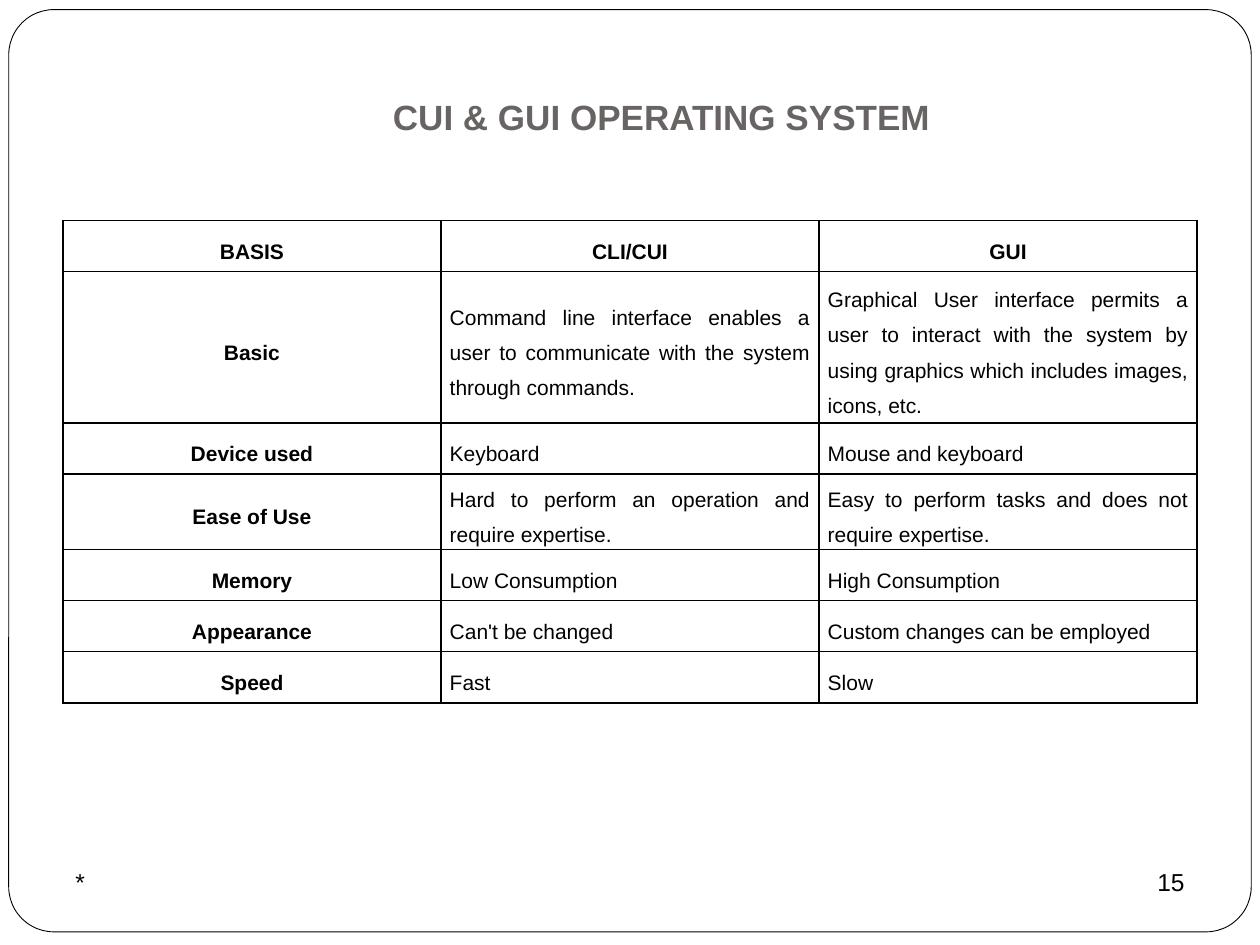
from lxml import etree
from pptx import Presentation
from pptx import util as u
from pptx.dml.color import RGBColor
from pptx.enum import shapes, text
from pptx.oxml import ns

COLORS = {"ink": "000000", "paper": "FFFFFF", "title": "696464"}
ROWS = [
    ("BASIS", "CLI/CUI", "GUI"),
    ("Basic",
     "Command line interface enables a user to communicate with the system through commands.",
     "Graphical User interface permits a user to interact with the system by using graphics "
     "which includes images, icons, etc."),
    ("Device used", "Keyboard", "Mouse and keyboard"),
    ("Ease of Use", "Hard to perform an operation and require expertise.",
     "Easy to perform tasks and does not require expertise."),
    ("Memory", "Low Consumption", "High Consumption"),
    ("Appearance", "Can't be changed", "Custom changes can be employed"),
    ("Speed", "Fast", "Slow"),
]
ROW_HEIGHT = 29.2
TALL_ROWS = {1: 86.4, 3: 43.2}


def color(name):
    """Return the named palette colour."""
    return RGBColor.from_string(COLORS[name])


def write(frame, words, size=12, bold=False, ink="ink", align="LEFT", spacing=None):
    """Put one formatted paragraph in a text frame."""
    para = frame.paragraphs[0]
    para.alignment = getattr(text.PP_ALIGN, align)
    para.line_spacing = spacing
    span = para.add_run()
    span.text = words
    span.font.name = "Arial"
    span.font.size = u.Pt(size)
    span.font.bold = bold
    span.font.color.rgb = color(ink)


class Page:
    """Hold the style and the current slide."""

    def __init__(self, deck):
        """Add a title-only slide with a plain background."""
        self.slide = deck.slides.add_slide(deck.slide_layouts[5])
        self.shapes = self.slide.shapes
        self.slide.background.fill.solid()
        self.slide.background.fill.fore_color.rgb = color("paper")

    def border(self, left, top, width, height):
        """Draw the rounded page border behind everything else."""
        box = self.shapes.add_shape(shapes.MSO_SHAPE.ROUNDED_RECTANGLE,
                                    *map(u.Pt, (left, top, width, height)))
        box.adjustments[0] = 0.049
        box.shadow.inherit = False
        box.fill.solid()
        box.fill.fore_color.rgb = color("paper")
        box.line.color.rgb = color("ink")
        box.line.width = u.Pt(0.5)
        box.element.addnext(self.shapes.title.element)

    def title(self, words, left, top, width, height):
        """Place and format the title."""
        box = self.shapes.title
        box.left, box.top, box.width, box.height = map(u.Pt, (left, top, width, height))
        box.text_frame.vertical_anchor = text.MSO_ANCHOR.MIDDLE
        write(box.text_frame, words, size=20, bold=True, ink="title", align="CENTER")

    def label(self, words, left, top, width, height, align):
        """Add a footer text box."""
        box = self.shapes.add_textbox(*map(u.Pt, (left, top, width, height)))
        box.text_frame.word_wrap = True
        write(box.text_frame, words, size=14, align=align)

    def rule_cell(self, cell):
        """Give a cell a thin line on all four sides."""
        properties = cell._tc.get_or_add_tcPr()
        for side in ("a:lnL", "a:lnR", "a:lnT", "a:lnB"):
            line = etree.SubElement(properties, ns.qn(side), w=str(u.Pt(1)))
            fill = etree.SubElement(line, ns.qn("a:solidFill"))
            etree.SubElement(fill, ns.qn("a:srgbClr"), val=COLORS["ink"])

    def table(self, rows, left, top, width):
        """Add a ruled table with a bold header row and first column."""
        heights = [TALL_ROWS.get(index, ROW_HEIGHT) for index in range(len(rows))]
        grid = self.shapes.add_table(len(rows), len(rows[0]), u.Pt(left), u.Pt(top),
                                     u.Pt(width), u.Pt(sum(heights))).table
        grid.first_row = grid.horz_banding = False
        for row, height in zip(grid.rows, heights):
            row.height = u.Pt(height)
        for r, row in enumerate(rows):
            for c, words in enumerate(row):
                cell = grid.cell(r, c)
                self.rule_cell(cell)
                cell.fill.background()
                cell.margin_left = cell.margin_right = u.Pt(5)
                cell.margin_top = cell.margin_bottom = 0
                cell.vertical_anchor = text.MSO_ANCHOR.MIDDLE
                heading = r == 0 or c == 0
                write(cell.text_frame, words, bold=heading, spacing=1.5,
                      align="CENTER" if heading else "JUSTIFY")


def main():
    """Build and save the slide."""
    deck = Presentation()
    deck.slide_width, deck.slide_height = u.Pt(720), u.Pt(540)
    page = Page(deck)
    page.border(5, 5.5, 710, 527)
    page.title("CUI & GUI OPERATING SYSTEM", 72, 21.6, 612, 90)
    page.table(ROWS, 36, 126, 648)
    page.label("*", 36, 492, 168, 37.5, "LEFT")
    page.label("15", 516, 492, 168, 37.5, "RIGHT")
    deck.save("out.pptx")


if __name__ == "__main__":
    main()
